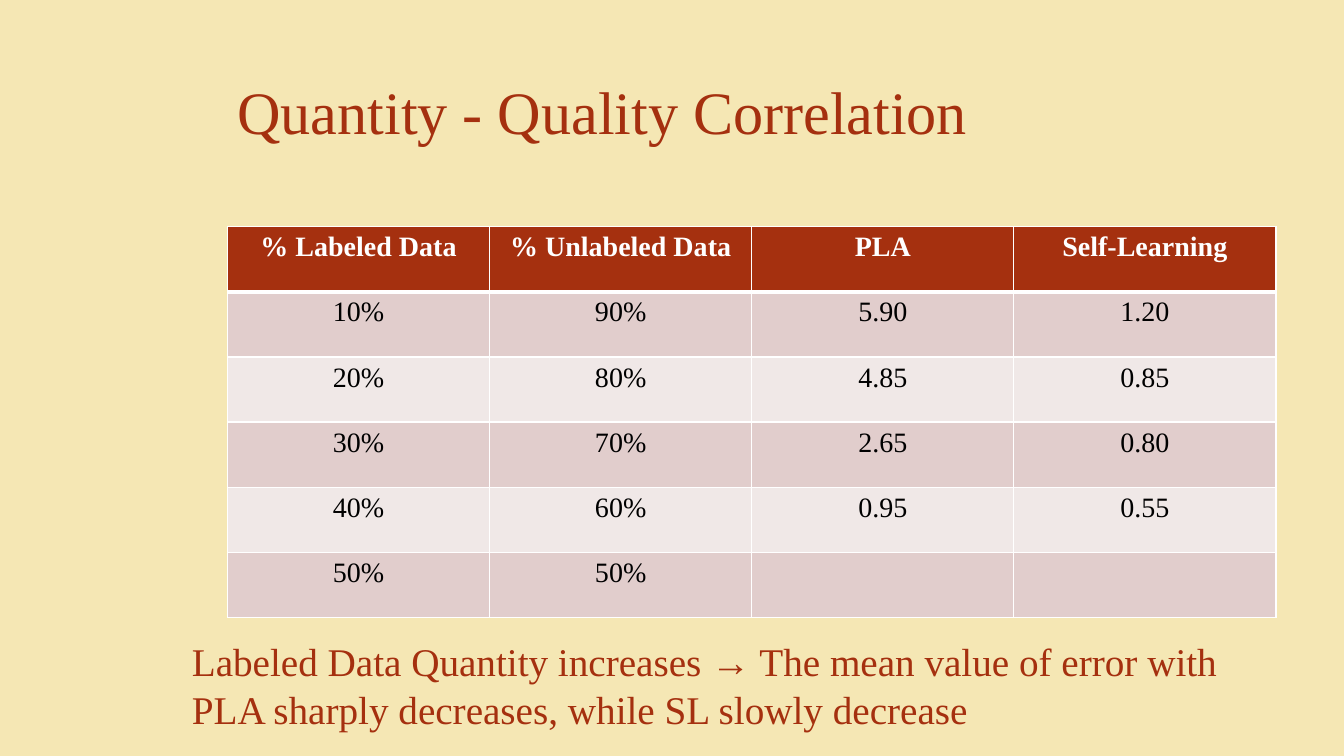
import pptx
import pptx.util
import pptx.dml.color
import pptx.enum.text
import pptx.oxml
import pptx.oxml.ns

Pt = pptx.util.Pt
RGB = pptx.dml.color.RGBColor
ALIGN = pptx.enum.text.PP_ALIGN
ANCHOR = pptx.enum.text.MSO_ANCHOR

SAND = RGB(0xF5, 0xE7, 0xB4)
RUST = RGB(0xA5, 0x30, 0x0F)
ROSE = RGB(0xE1, 0xCD, 0xCC)
PALE = RGB(0xF0, 0xE8, 0xE7)
WHITE = RGB(0xFF, 0xFF, 0xFF)
BLACK = RGB(0, 0, 0)

ROWS = [
    ("% Labeled Data", "% Unlabeled Data", "PLA", "Self-Learning"),
    ("10%", "90%", "5.90", "1.20"),
    ("20%", "80%", "4.85", "0.85"),
    ("30%", "70%", "2.65", "0.80"),
    ("40%", "60%", "0.95", "0.55"),
    ("50%", "50%", "", ""),
]


class Deck:
    face = "Times New Roman"

    def __init__(self, show):
        self.slide = show.slides.add_slide(show.slide_layouts[6])
        fill = self.slide.background.fill
        fill.solid()
        fill.fore_color.rgb = SAND

    def label(self, frame, text, size, color, bold=False, align=ALIGN.LEFT):
        para = frame.paragraphs[0]
        para.alignment = align
        if not text:
            return
        run = para.add_run()
        run.text = text
        style = {"name": self.face, "size": Pt(size), "bold": bold}
        for key, value in style.items():
            setattr(run.font, key, value)
        run.font.color.rgb = color

    def text(self, box, text, size, anchor=ANCHOR.TOP):
        frame = self.slide.shapes.add_textbox(*map(Pt, box)).text_frame
        frame.word_wrap = True
        frame.vertical_anchor = anchor
        self.label(frame, text, size, RUST)

    def border(self, cell, widths):
        props = cell._tc.get_or_add_tcPr()
        for spot, (side, width) in enumerate(widths.items()):
            line = pptx.oxml.parse_xml(
                f'<a:ln{side} {pptx.oxml.ns.nsdecls("a")} w="{Pt(width)}">'
                f'<a:solidFill><a:srgbClr val="{WHITE}"/></a:solidFill>'
                f'</a:ln{side}>'
            )
            props.insert(spot, line)

    def table(self, box, rows, size):
        grid = self.slide.shapes.add_table(
            len(rows), len(rows[0]), *map(Pt, box)
        ).table
        for r, row in enumerate(rows):
            head = r == 0
            shade = RUST if head else (PALE, ROSE)[r % 2]
            for c, text in enumerate(row):
                cell = grid.cell(r, c)
                cell.fill.solid()
                cell.fill.fore_color.rgb = shade
                self.label(cell.text_frame, text, size,
                           WHITE if head else BLACK, head, ALIGN.CENTER)
                self.border(cell, {"L": 1, "R": 1,
                                   "T": 3 if r == 1 else 1,
                                   "B": 3 if head else 1})


show = pptx.Presentation()
show.slide_width, show.slide_height = Pt(960), Pt(540)
deck = Deck(show)
deck.text((162.5, 34, 787, 90), "Quantity - Quality Correlation", 43,
          ANCHOR.MIDDLE)
deck.table((162.5, 162, 749, 279), ROWS, 20)
deck.text((130, 452, 801, 73),
          "Labeled Data Quantity increases → The mean value of error with "
          "PLA sharply decreases, while SL slowly decrease", 28)
show.save("out.pptx")
